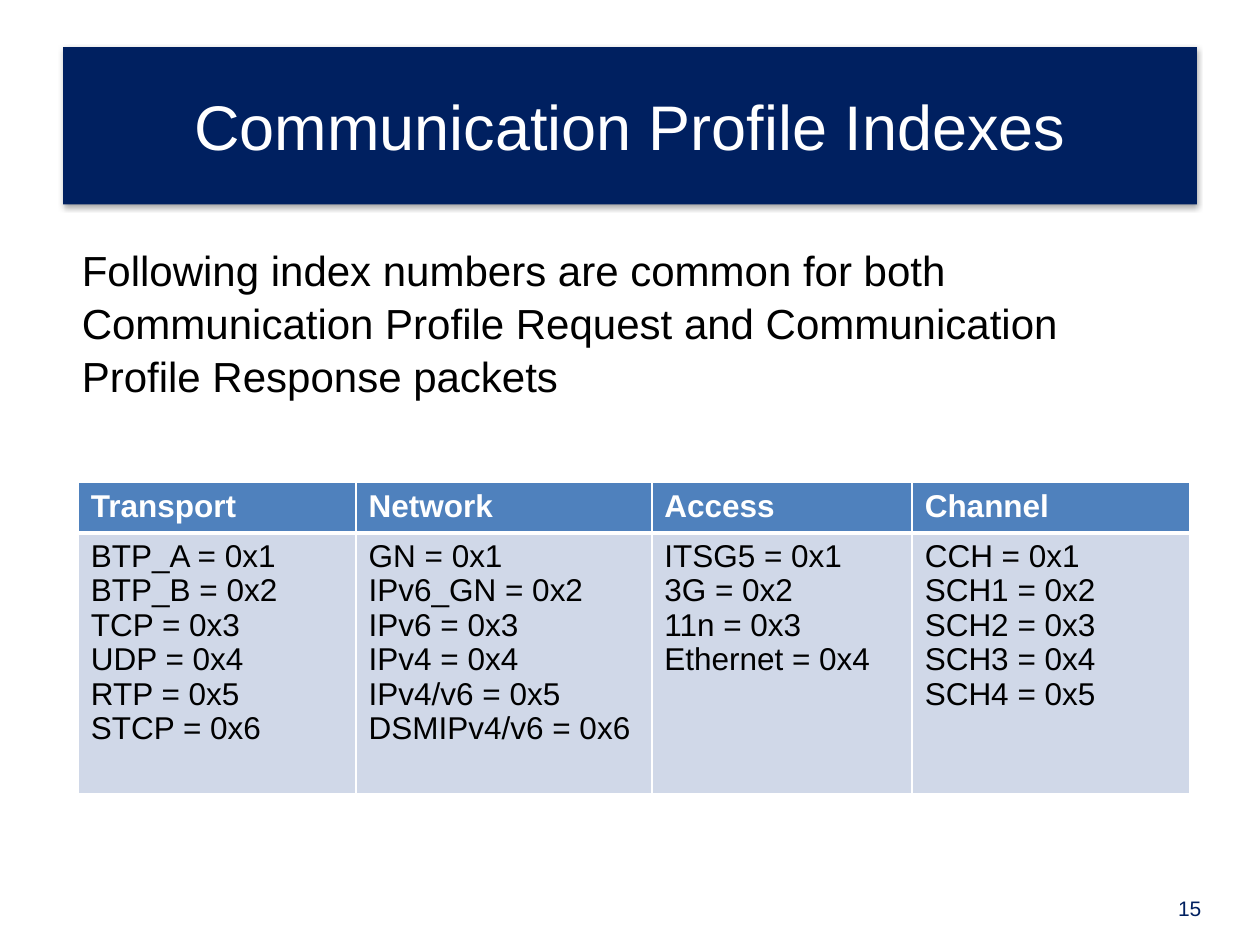
from lxml.etree import SubElement
from pptx import Presentation
from pptx.dml.color import RGBColor
from pptx.enum.text import MSO_ANCHOR, PP_ALIGN
from pptx.oxml.ns import qn
from pptx.util import Cm, Pt

NAVY, WHITE, BLACK = "002060", "FFFFFF", "000000"
HEADER_BLUE, PALE_BLUE = "4F81BD", "D0D8E8"

COLUMNS = [
    ("Transport", 5.6, 0.74, ["BTP_A = 0x1", "BTP_B = 0x2", "TCP = 0x3",
                              "UDP = 0x4", "RTP = 0x5", "STCP = 0x6"]),
    ("Network", 5.96, 1.27, ["GN = 0x1", "IPv6_GN = 0x2", "IPv6 = 0x3",
                             "IPv4 = 0x4", "IPv4/v6 = 0x5", "DSMIPv4/v6 = 0x6"]),
    ("Access", 5.25, 1.27, ["ITSG5 = 0x1", "3G = 0x2", "11n = 0x3", "Ethernet = 0x4"]),
    ("Channel", 5.6, 1.27, ["CCH = 0x1", "SCH1 = 0x2", "SCH2 = 0x3",
                            "SCH3 = 0x4", "SCH4 = 0x5"]),
]


def color(value):
    """Turn a hex string into a colour."""
    return RGBColor.from_string(value)


def style(paragraph, size, value, bold=False):
    """Set the font of a whole paragraph."""
    font = paragraph.font
    font.name, font.size, font.bold = "Arial", Pt(size), bold
    font.color.rgb = color(value)


def paint(target, value):
    """Fill a shape or a cell with one colour."""
    target.fill.solid()
    target.fill.fore_color.rgb = color(value)


def add_shadow(shape):
    """Give a shape a soft shadow falling straight down."""
    effects = SubElement(shape._element.spPr, qn("a:effectLst"))
    shadow = SubElement(effects, qn("a:outerShdw"), blurRad=str(Pt(3.1)),
                        dist=str(Pt(1.8)), dir="5400000", rotWithShape="0")
    black = SubElement(shadow, qn("a:srgbClr"), val=BLACK)
    SubElement(black, qn("a:alpha"), val="35000")


def set_borders(cell, bottom):
    """Draw white borders around a cell, with its own bottom width."""
    properties = cell._tc.get_or_add_tcPr()
    for side, width in (("L", 1), ("R", 1), ("T", 1), ("B", bottom)):
        line = SubElement(properties, qn(f"a:ln{side}"), w=str(Pt(width)))
        fill = SubElement(line, qn("a:solidFill"))
        SubElement(fill, qn("a:srgbClr"), val=WHITE)


def place_title(page, left, top, width, height):
    """Turn the title placeholder into a navy banner."""
    title = page.shapes.title
    title.left, title.top, title.width, title.height = map(Cm, (left, top, width, height))
    paint(title, NAVY)
    add_shadow(title)
    frame = title.text_frame
    frame.text = "Communication Profile Indexes"
    frame.vertical_anchor = MSO_ANCHOR.MIDDLE
    frame.paragraphs[0].alignment = PP_ALIGN.CENTER
    style(frame.paragraphs[0], 36, WHITE)


def add_text(page, left, top, width, height, text, size, value):
    """Add a wrapping text box and return its paragraph."""
    box = page.shapes.add_textbox(*map(Cm, (left, top, width, height)))
    box.text_frame.word_wrap = True
    paragraph = box.text_frame.paragraphs[0]
    paragraph.text = text
    style(paragraph, size, value)
    return paragraph


def fill_list(cell, entries, indent):
    """Write one hanging paragraph per index number."""
    frame = cell.text_frame
    frame.text = "\n".join(entries)
    for paragraph in frame.paragraphs:
        paragraph.level = 1
        paragraph.line_spacing = 0.98
        properties = paragraph._p.get_or_add_pPr()
        properties.set("marL", str(Cm(indent)))
        properties.set("indent", str(-Cm(indent)))
        style(paragraph, 18, BLACK)


def add_index_table(page, left, top, header_height, body_height):
    """Add the table of index numbers, one column per layer."""
    width = sum(column[1] for column in COLUMNS)
    frame = page.shapes.add_table(2, len(COLUMNS), Cm(left), Cm(top), Cm(width),
                                  Cm(header_height + body_height))
    table = frame.table
    table.rows[0].height, table.rows[1].height = Cm(header_height), Cm(body_height)
    for index, (heading, column_width, indent, entries) in enumerate(COLUMNS):
        table.columns[index].width = Cm(column_width)
        header, body = table.cell(0, index), table.cell(1, index)
        set_borders(header, 3)
        set_borders(body, 1)
        paint(header, HEADER_BLUE)
        paint(body, PALE_BLUE)
        header.text = heading
        style(header.text_frame.paragraphs[0], 18, WHITE, bold=True)
        fill_list(body, entries, indent)


def main():
    """Build the slide and save the deck."""
    deck = Presentation()
    deck.slide_width, deck.slide_height = Cm(25.4), Cm(19.05)
    page = deck.slides.add_slide(deck.slide_layouts[5])
    add_text(page, 23.5, 17.93, 1.4, 0.76, "15", 12, NAVY)
    place_title(page, 1.27, 0.95, 22.86, 3.17)
    add_index_table(page, 1.58, 9.73, 1, 5.26)
    intro = add_text(page, 1.4, 4.75, 22.23, 3.33,
                     "Following index numbers are common for both Communication Profile "
                     "Request and Communication Profile Response packets", 24, BLACK)
    intro.line_spacing = 1.05
    deck.save("out.pptx")


if __name__ == "__main__":
    main()
